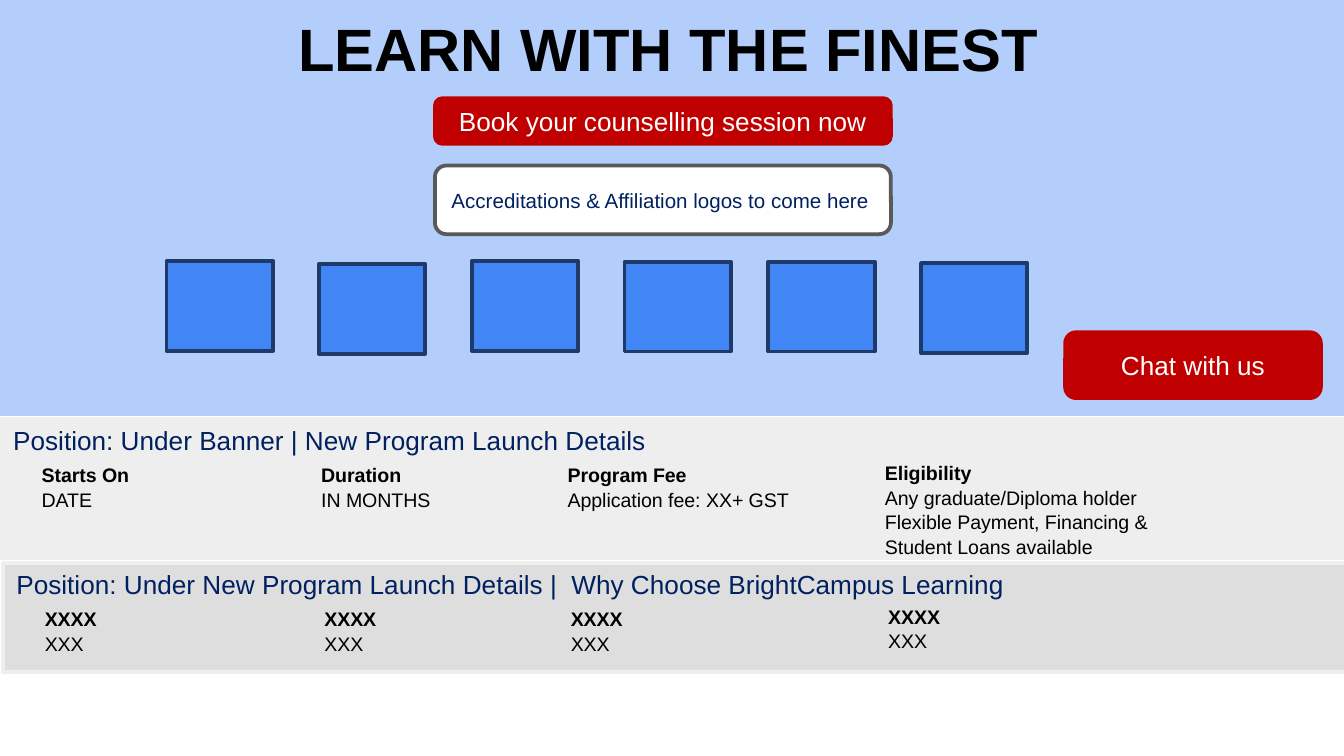
from typing import NamedTuple

from pptx import Presentation
from pptx.dml.color import RGBColor
from pptx.enum import shapes, text
from pptx.util import Pt

BLACK = RGBColor(0x00, 0x00, 0x00)
WHITE = RGBColor(0xFF, 0xFF, 0xFF)
NAVY = RGBColor(0x00, 0x20, 0x60)
RED = RGBColor(0xC0, 0x00, 0x00)
SKY = RGBColor(0xB3, 0xCE, 0xFB)
BLUE = RGBColor(0x42, 0x85, 0xF4)
INK = RGBColor(0x1D, 0x3A, 0x6B)
GREY = RGBColor(0x59, 0x59, 0x59)
PALE = RGBColor(0xEE, 0xEE, 0xEE)
DULL = RGBColor(0xDE, 0xDE, 0xDE)

RECT = shapes.MSO_SHAPE.RECTANGLE
ROUND = shapes.MSO_SHAPE.ROUNDED_RECTANGLE
LEFT = text.PP_ALIGN.LEFT
CENTER = text.PP_ALIGN.CENTER


class Box(NamedTuple):
    x: float
    y: float
    w: float
    h: float


class Column(NamedTuple):
    x: float
    drop: float
    w: float
    h: float


class Section(NamedTuple):
    x: float
    top: float
    band: Box
    fill: RGBColor
    title: str
    width: float
    items: list[list[str]]


class Button(NamedTuple):
    box: Box
    label: str
    fill: RGBColor
    line: RGBColor
    ink: RGBColor
    size: float
    align: text.PP_ALIGN


COLUMNS = [
    Column(15.2, 20.2, 85, 32.4),
    Column(165, 20.2, 96.5, 32.4),
    Column(297, 20.2, 151, 32.4),
    Column(467, 18.8, 187, 70.6),
]
SECTIONS = [
    Section(0, 223.9, Box(0, 224.6, 720, 74.2), PALE,
            "Position: Under Banner | New Program Launch Details", 355, [
                ["Starts On", "DATE"],
                ["Duration", "IN MONTHS"],
                ["Program Fee", "Application fee: XX+ GST"],
                ["Eligibility", "Any graduate/Diploma holder",
                 "Flexible Payment, Financing & Student Loans available"],
            ]),
    Section(1.7, 301, Box(1.7, 301.7, 720, 58.3), DULL,
            "Position: Under New Program Launch Details |  "
            "Why Choose BrightCampus Learning", 546,
            [["XXXX", "XXX"]] * len(COLUMNS)),
]
BUTTONS = [
    Button(Box(233, 88.7, 244.3, 36.8),
           "Accreditations & Affiliation logos to come here",
           WHITE, GREY, NAVY, 11, LEFT),
    Button(Box(233, 52.6, 244.3, 24.5), "Book your counselling session now",
           RED, RED, WHITE, 14, CENTER),
    Button(Box(570.6, 178, 137, 35.3), "Chat with us",
           RED, RED, WHITE, 14, CENTER),
]
TILES = [(89.2, 139.8), (170.8, 141.4), (252.8, 139.8),
         (334.6, 140.2), (411.6, 140.2), (493.4, 140.9)]


def block(slide, box: Box, fill: RGBColor, line: RGBColor, kind=RECT):
    shape = slide.shapes.add_shape(kind, *map(Pt, box))
    shape.shadow.inherit = False
    shape.fill.solid()
    shape.fill.fore_color.rgb = fill
    shape.line.color.rgb = line
    shape.line.width = Pt(2)
    return shape


def write(frame, lines: list[str], size: float, color: RGBColor,
          align=LEFT, bold: bool = False) -> None:
    """Fill the frame; bold applies to the first line only."""
    frame.text = "\n".join(lines)
    for i, para in enumerate(frame.paragraphs):
        para.alignment = align
        for run in para.runs:
            run.font.name = "Arial"
            run.font.size = Pt(size)
            run.font.bold = bold and i == 0
            run.font.color.rgb = color


def label(slide, box: Box, wrap: bool = True):
    frame = slide.shapes.add_textbox(*map(Pt, box)).text_frame
    frame.word_wrap = wrap
    return frame


def draw_section(slide, part: Section) -> None:
    block(slide, part.band, part.fill, PALE)
    for col, lines in zip(COLUMNS, part.items):
        box = Box(part.x + col.x, part.top + col.drop, col.w, col.h)
        frame = label(slide, box)
        write(frame, lines, 10.5, BLACK, bold=True)
        for para in frame.paragraphs:
            para.line_spacing = 1.05
    head = label(slide, Box(part.x, part.top, part.width, 24.2), wrap=False)
    write(head, [part.title], 14, NAVY)


def draw_button(slide, item: Button) -> None:
    frame = block(slide, item.box, item.fill, item.line, ROUND).text_frame
    frame.word_wrap = True
    frame.vertical_anchor = text.MSO_ANCHOR.MIDDLE
    write(frame, [item.label], item.size, item.ink, item.align)


def main() -> None:
    deck = Presentation()
    deck.slide_width, deck.slide_height = Pt(720), Pt(405)
    slide = deck.slides.add_slide(deck.slide_layouts[6])

    for part in SECTIONS:
        draw_section(slide, part)

    block(slide, Box(0, -23.8, 720, 245.5), SKY, SKY)
    title = label(slide, Box(55.4, 0, 605.5, 85))
    title.margin_top = Pt(6.5)
    write(title, ["LEARN WITH THE FINEST"], 32, BLACK, CENTER, bold=True)
    for item in BUTTONS:
        draw_button(slide, item)
    for x, y in TILES:
        block(slide, Box(x, y, 57, 48.2), BLUE, INK)

    deck.save("out.pptx")


if __name__ == "__main__":
    main()
